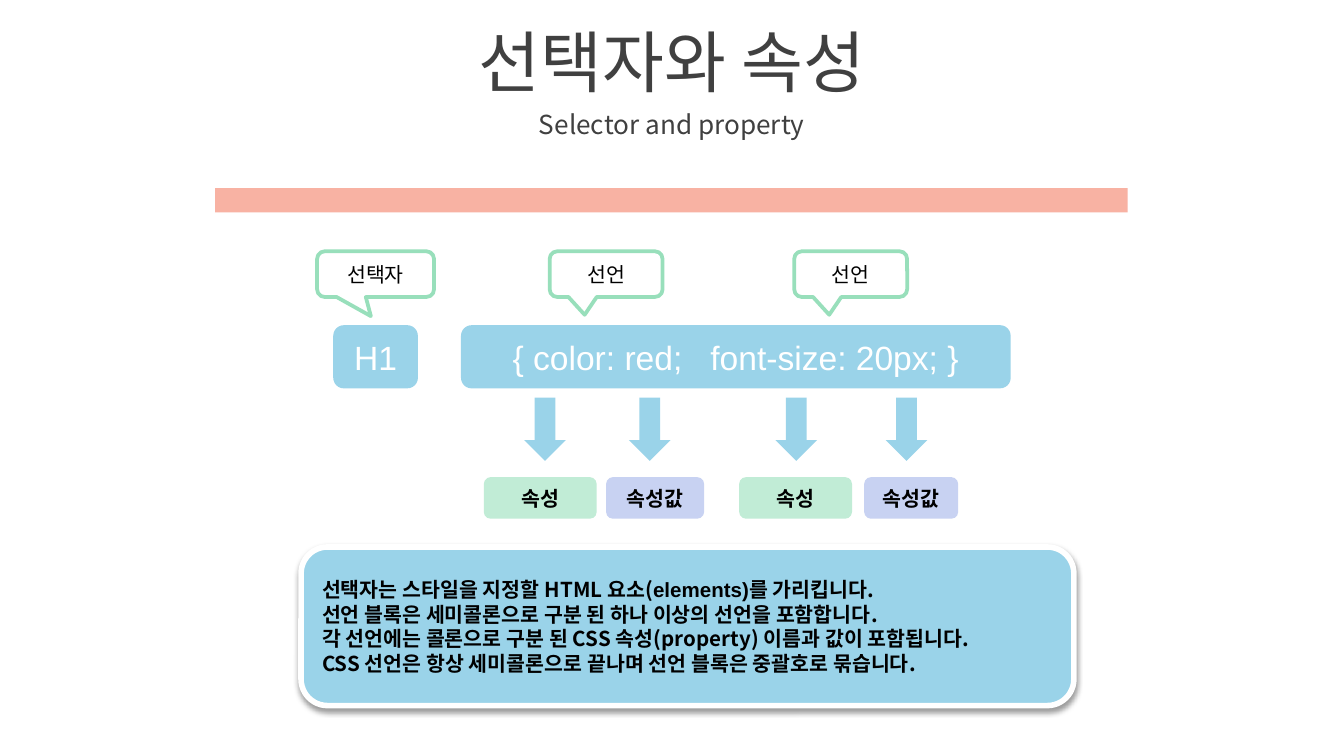
from dataclasses import dataclass

from lxml import etree
from pptx import Presentation
from pptx.dml.color import RGBColor
from pptx.enum.shapes import MSO_SHAPE
from pptx.enum.text import MSO_ANCHOR, PP_ALIGN
from pptx.oxml import parse_xml
from pptx.oxml.ns import nsdecls, qn
from pptx.util import Inches, Pt


@dataclass(frozen=True)
class Theme:
    korean: str = "Noto Sans CJK KR"
    latin: str = "Arial"
    heading: str = "404040"
    black: str = "000000"
    white: str = "FFFFFF"
    coral: str = "F8B2A3"
    blue: str = "9AD3E9"
    green_line: str = "98DFBB"
    green: str = "C1ECD6"
    lilac: str = "C8D2F2"
    title_size: float = 36
    subtitle_size: float = 14
    code_size: float = 18
    label_size: float = 11
    panel_leading: float = 13.2


THEME = Theme()


def write_text(shape, paragraphs, size=THEME.label_size, color=THEME.black, font=THEME.korean,
               bold=False, align=PP_ALIGN.CENTER, leading=None):
    """Fill a shape; each paragraph is a list of (text, font or None) runs."""
    frame = shape.text_frame
    frame.word_wrap = True
    frame.vertical_anchor = MSO_ANCHOR.MIDDLE
    if isinstance(paragraphs, str):
        paragraphs = [[(paragraphs, font)]]
    for index, runs in enumerate(paragraphs):
        paragraph = frame.paragraphs[0] if index == 0 else frame.add_paragraph()
        paragraph.alignment = align
        if leading:
            paragraph.line_spacing = Pt(leading)
        for text, run_font in runs:
            run = paragraph.add_run()
            run.text = text
            run.font.size = Pt(size)
            run.font.bold = bold
            run.font.color.rgb = RGBColor.from_string(color)
            run.font.name = run_font or font
            # Hangul takes its typeface from the East Asian font
            east_asian = etree.SubElement(run.font._element, qn("a:ea"))
            east_asian.set("typeface", THEME.korean)


def add_box(slide, kind, left, top, width, height, fill, line=None, line_width=2):
    shape = slide.shapes.add_shape(kind, Inches(left), Inches(top), Inches(width), Inches(height))
    shape.shadow.inherit = False
    shape.fill.solid()
    shape.fill.fore_color.rgb = RGBColor.from_string(fill)
    if line:
        shape.line.color.rgb = RGBColor.from_string(line)
        shape.line.width = Pt(line_width)
    else:
        shape.line.fill.background()
    return shape


def add_drop_shadow(shape):
    effects = shape._element.spPr.find(qn("a:effectLst"))
    effects.append(parse_xml(
        f'<a:outerShdw {nsdecls("a")} blurRad="{Pt(3.1)}" dist="{Pt(1.6)}" dir="5400000" '
        f'rotWithShape="0"><a:srgbClr val="{THEME.black}"><a:alpha val="38000"/>'
        '</a:srgbClr></a:outerShdw>'))


def add_header(slide, left, top, width):
    """Title, subtitle and the coloured bar below them."""
    rows = [("선택자와 속성", 0, 0.63, THEME.title_size),
            ("Selector and property", 0.63, 0.31, THEME.subtitle_size)]
    for text, offset, height, size in rows:
        box = slide.shapes.add_textbox(Inches(left), Inches(top + offset),
                                       Inches(width), Inches(height))
        write_text(box, text, size=size, color=THEME.heading)
    add_box(slide, MSO_SHAPE.RECTANGLE, left + 1.6, top + 1.26, 6.79, 0.18, THEME.coral)


def add_rule_diagram(slide, left, top):
    """CSS rule with callouts above it and labelled arrows below it."""
    # Code blocks
    code_blocks = [("H1", 0.12, 0.63), ("{ color: red;   font-size: 20px; }", 1.07, 4.09)]
    for text, offset, width in code_blocks:
        block = add_box(slide, MSO_SHAPE.ROUNDED_RECTANGLE, left + offset, top + 0.55,
                        width, 0.47, THEME.blue)
        write_text(block, text, size=THEME.code_size, color=THEME.white, font=THEME.latin)

    # Callouts
    callouts = [("선택자", 0, 0.87, (-0.04, 0.92)),
                ("선언", 1.73, 0.84, (-0.19, 0.89)),
                ("선언", 3.55, 0.84, (-0.19, 0.89))]
    for text, offset, width, tip in callouts:
        callout = add_box(slide, MSO_SHAPE.ROUNDED_RECTANGULAR_CALLOUT, left + offset, top,
                          width, 0.34, THEME.white, line=THEME.green_line)
        callout.adjustments[0], callout.adjustments[1] = tip
        write_text(callout, text)

    # Arrows and the labels they point to
    parts = [("속성", 1.54, 1.24, 0.84, THEME.green),
             ("속성값", 2.32, 2.15, 0.73, THEME.lilac),
             ("속성", 3.41, 3.14, 0.84, THEME.green),
             ("속성값", 4.23, 4.07, 0.7, THEME.lilac)]
    for text, arrow_offset, label_offset, width, fill in parts:
        add_box(slide, MSO_SHAPE.DOWN_ARROW, left + arrow_offset, top + 1.09, 0.31, 0.47,
                THEME.blue)
        label = add_box(slide, MSO_SHAPE.ROUNDED_RECTANGLE, left + label_offset, top + 1.68,
                        width, 0.31, fill)
        write_text(label, text, font=THEME.latin, bold=True)


def add_summary(slide, left, top, width, height):
    """Raised panel that explains the rule."""
    panel = add_box(slide, MSO_SHAPE.ROUNDED_RECTANGLE, left, top, width, height,
                    THEME.blue, line=THEME.white, line_width=3)
    add_drop_shadow(panel)
    paragraphs = [
        [("선택자는 스타일을 지정할 HTML 요소(", None), ("elements)", THEME.latin),
         ("를 가리킵니다.", None)],
        [("선언 블록은 세미콜론으로 구분 된 하나 이상의 선언을 포함합니다.", None)],
        [("각 선언에는 콜론으로 구분 된 CSS 속성(property) 이름과 값이 포함됩니다.", None)],
        [("CSS 선언은 항상 세미콜론으로 끝나며 선언 블록은 중괄호로 묶습니다.", None)],
    ]
    write_text(panel, paragraphs, bold=True, align=PP_ALIGN.LEFT, leading=THEME.panel_leading)


def main():
    presentation = Presentation()
    # Widescreen, 16:9
    presentation.slide_width = Inches(10)
    presentation.slide_height = Inches(10 * 9 / 16)
    slide = presentation.slides.add_slide(presentation.slide_layouts[6])
    add_header(slide, 0, 0.14, 10)
    add_rule_diagram(slide, 2.36, 1.87)
    add_summary(slide, 2.24, 4.07, 5.75, 1.18)
    presentation.save("out.pptx")


if __name__ == "__main__":
    main()
